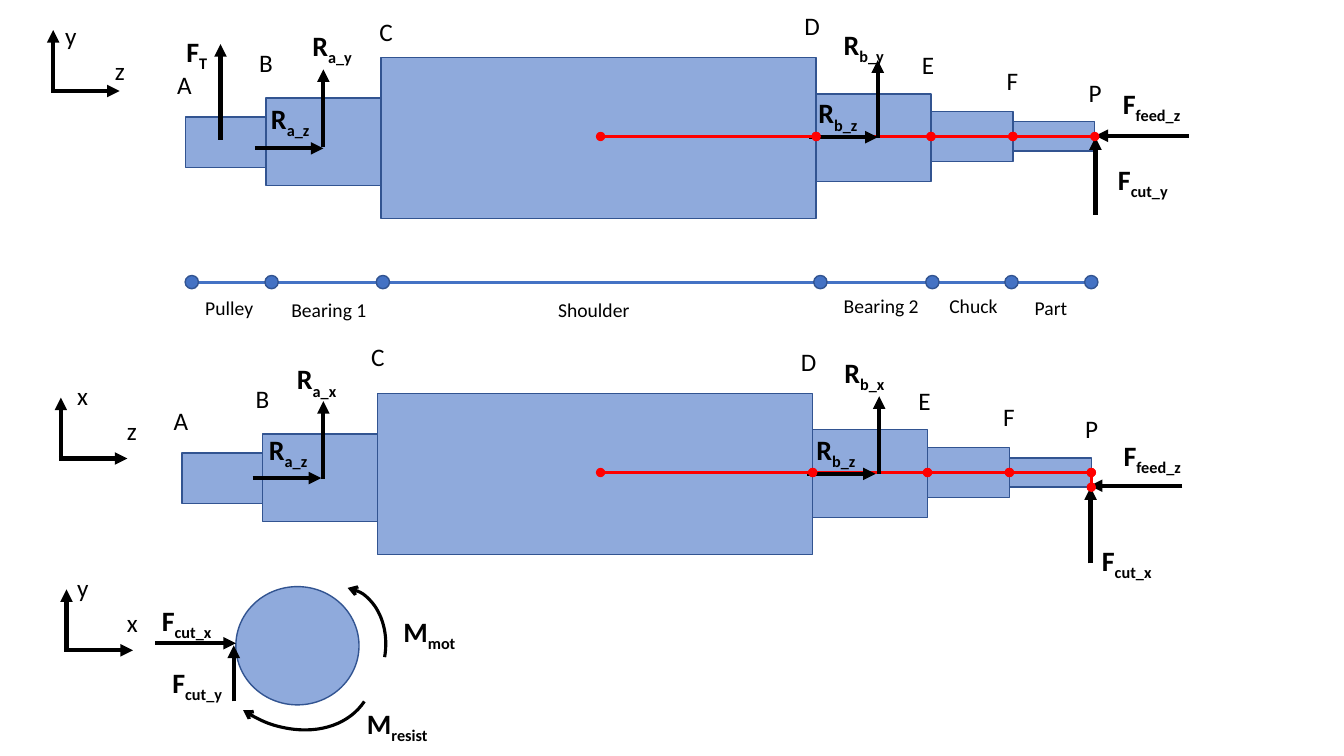
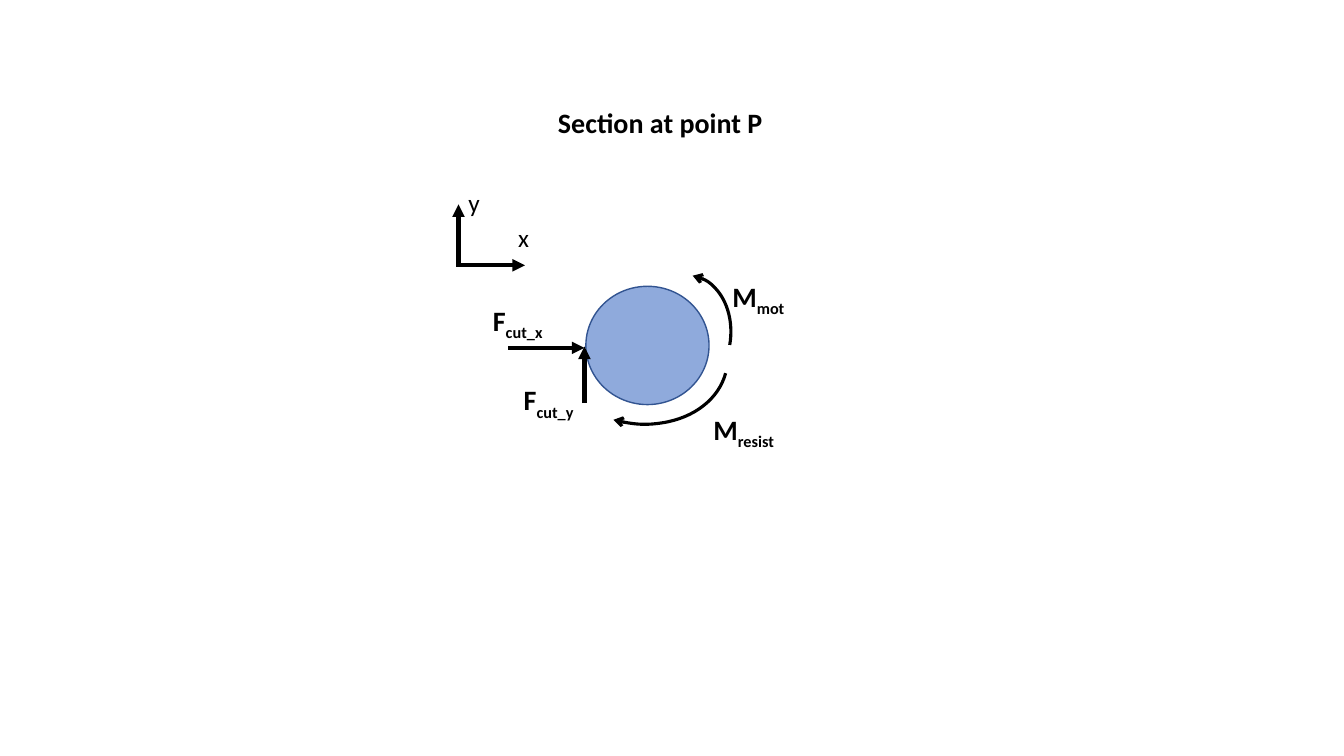
from itertools import accumulate, pairwise
from lxml.etree import SubElement
from pptx import Presentation
from pptx.dml.color import RGBColor
from pptx.enum.shapes import MSO_CONNECTOR as LINE, MSO_SHAPE as SHAPE
from pptx.enum.text import MSO_AUTO_SIZE as FIT
from pptx.oxml.ns import qn
from pptx.util import Pt

BLACK, RED, BLUE, STEEL, EDGE = "000000", "FF0000", "4472C4", "8FAADC", "325491"
FONT = "Calibri"

# Shaft steps from pulley to part: width, top, height
SHAFT_LEFT = 132.5
STEPS = [(57.5, 83.5, 36), (82, 70, 62.5), (311, 41, 115),
         (82, 67, 62.5), (58.5, 79.5, 36), (58.5, 87, 21)]
POINTS = {"A": (119.5, 46), "B": (178, 30), "C": (264, 8), "D": (567.5, 3.5),
          "E": (651.5, 31.5), "F": (712, 43), "P": (770.5, 52)}
LOAD_START, LOAD_Y = 429, 97.5

# Forces: symbol, subscript, arrow start, arrow run (x, y), label corner
VIEW_Y = {
    "shift": (0, 0), "points": POINTS,
    "axes": ((38, 65), (39.5, 11), "y", "z"),
    "forces": [
        ("F", "T", (157.5, 100), (0, -68.5), (126, 21)),
        ("R", "a_y", (231, 105), (0, -55.5), (216, 16.5)),
        ("R", "a_z", (182, 106), (49, 0), (186.5, 69)),
        ("R", "b_y", (627, 98.5), (0, -55.5), (595.5, 16)),
        ("R", "b_z", (578, 98), (49, 0), (577.5, 65)),
        ("F", "feed_z", (849, 97), (-66.5, 0), (795, 58.5)),
        ("F", "cut_y", (782.5, 153.5), (0, -55.5), (791.5, 112.5)),
    ],
}
VIEW_X = {
    "shift": (-2.5, 240), "points": POINTS | {"C": (260.5, 0.5)},
    "axes": ((43.5, 327.5), (48, 268), "x", "z"),
    "forces": [
        ("R", "a_x", (231, 342), (0, -55.5), (205, 255)),
        ("R", "a_z", (180.5, 341.5), (49, 0), (185, 305.5)),
        ("R", "b_x", (628, 338.5), (0, -55.5), (596, 250.5)),
        ("R", "b_z", (576.5, 338.5), (49, 0), (576, 305.5)),
        ("F", "feed_z", (844.5, 347), (-66, 0), (795.5, 309.5)),
        ("F", "cut_x", (779, 402.5), (0, -54.5), (780, 384.5)),
    ],
}
CUT_OFFSET = 10.5

# Sections: disc corner, moment arcs (corner, turn), moment labels, forces
SHAFT_END = {
    "disc": (168.5, 419), "axes": ((47.5, 464.5), (48, 405.5), "y", "x"),
    "resist": ((150, 394.5), 123.7), "mot": ((196.5, 429), 279.8),
    "moments": [("mot", (281, 435.5)), ("resist", (255, 501))],
    "forces": [
        ("F", "cut_x", (111, 459.5), (57.5, 0), (108.5, 427.5)),
        ("F", "cut_y", (167, 501), (0, -40), (116, 471.5)),
    ],
}
SECTION_P = {
    "disc": (418.5, 204.5), "axes": ((327.5, 189.5), (327.5, 130), "y", "x"),
    "resist": ((399, 180), 105.3), "mot": ((443, 206), 279.8),
    "moments": [("mot", (516, 196)), ("resist", (502.5, 291))],
    "forces": [
        ("F", "cut_x", (363, 248.5), (54.5, 0), (345, 213)),
        ("F", "cut_y", (417.5, 288), (0, -40.5), (367, 270)),
    ],
}

# Scale under the shaft: dot centres, then name, left, top, width
SCALE_Y, DOT = 201.5, 9.5
DOTS = [137, 194, 273.5, 586, 666, 722.5, 779.5]
PARTS = [("Pulley", 139.5, 208, 53.5), ("Bearing 1", 201, 209, 74),
         ("Shoulder", 391.5, 209.5, 74), ("Bearing 2", 595.5, 206.5, 74),
         ("Chuck", 671, 206.5, 50), ("Part", 732, 207.5, 50)]


def rgb(color):
    """Turn a hex string into a colour."""
    return RGBColor.from_string(color)


def pen(line, color, width, head=None, tail=None):
    """Set the colour, width and ends of a line."""
    line.color.rgb = rgb(color)
    line.width = Pt(width)
    ln = line._get_or_add_ln()
    for tag, end in (("a:headEnd", head), ("a:tailEnd", tail)):
        if end:
            SubElement(ln, qn(tag)).set("type", end)


def shape(s, kind, x, y, w, h, fill=STEEL):
    """Add an outlined shape; no fill when fill is None."""
    sp = s.shapes.add_shape(kind, Pt(x), Pt(y), Pt(w), Pt(h))
    sp.shadow.inherit = False
    if fill:
        sp.fill.solid()
        sp.fill.fore_color.rgb = rgb(fill)
        pen(sp.line, EDGE, 1)
    else:
        sp.fill.background()
    return sp


def line(s, start, end, color=BLACK, width=3, head=None, tail="triangle"):
    """Add a straight line, by default a black arrow."""
    c = s.shapes.add_connector(LINE.STRAIGHT, *(Pt(v) for v in (*start, *end)))
    pen(c.line, color, width, head, tail)
    SubElement(c._element.spPr, qn("a:effectLst"))


def text(s, words, x, y, w, h, size, bold=False, sub="", wrap=True):
    """Add a one-line text box with an optional subscript."""
    tf = s.shapes.add_textbox(Pt(x), Pt(y), Pt(w), Pt(h)).text_frame
    tf.word_wrap = wrap
    tf.auto_size = FIT.SHAPE_TO_FIT_TEXT
    p = tf.paragraphs[0]
    p.font.name, p.font.size, p.font.bold = FONT, Pt(size), bold
    p.font.color.rgb = rgb(BLACK)
    p.add_run().text = words
    if sub:
        r = p.add_run()
        r.text = sub
        r._r.get_or_add_rPr().set("baseline", "-25000")


def letter(s, words, x, y):
    """Name a point or an axis."""
    text(s, words, x, y, 25, 29, 18, wrap=False)


def symbol(s, words, sub, x, y):
    """Name a force or a moment."""
    text(s, words, x, y, 75, 31.5, 20, bold=True, sub=sub)


def axes(s, corner, label, up, right):
    """Draw a pair of axes with their names."""
    x, y = corner
    line(s, (x, y), (x, y - 43.5))
    line(s, (x - 1.5, y), (x + 47.5, y))
    letter(s, up, *label)
    letter(s, right, label[0] + 35.5, label[1] + 25)


def forces(s, rows):
    """Draw force arrows with their symbols."""
    for words, sub, (x, y), (run_x, run_y), label in rows:
        line(s, (x, y), (x + run_x, y + run_y))
        symbol(s, words, sub, *label)


def load(s, start, end):
    """Draw one red segment of the load path."""
    line(s, start, end, RED, 2.25, "oval", "oval")


def shaft(s, view):
    """Draw the stepped shaft with points, forces and load path."""
    dx, dy = view["shift"]
    edges = list(accumulate((w for w, _, _ in STEPS), initial=SHAFT_LEFT + dx))
    for x, (w, top, h) in zip(edges, STEPS):
        shape(s, SHAPE.RECTANGLE, x, top + dy, w, h)
    for name, (x, y) in view["points"].items():
        letter(s, name, x + dx, y + dy)
    axes(s, *view["axes"])
    stops = [(x, LOAD_Y + dy) for x in (LOAD_START, *edges[3:])]
    to_d, bearing, *others = pairwise(stops)
    load(s, *bearing)
    forces(s, view["forces"])
    for segment in (to_d, *others):
        load(s, *segment)
    return stops[-1]


def moment_arc(s, corner, turn, w, h, flip=False):
    """Draw a quarter arc with an open arrowhead."""
    sp = shape(s, SHAPE.ARC, *corner, w, h, fill=None)
    pen(sp.line, BLACK, 2.25, tail="arrow")
    sp.rotation = turn
    if flip:
        sp._element.spPr.xfrm.set("flipV", "1")


def section(s, view):
    """Draw a round section with its forces and moments."""
    shape(s, SHAPE.OVAL, *view["disc"], 88, 84.5)
    axes(s, *view["axes"])
    moment_arc(s, *view["resist"], 106.5, 137)
    moment_arc(s, *view["mot"], 88.5, 69, flip=True)
    for sub, label in view["moments"]:
        symbol(s, "M", sub, *label)
    forces(s, view["forces"])


def scale(s):
    """Draw the line that names the parts of the shaft."""
    line(s, (134, SCALE_Y), (783.5, SCALE_Y), BLUE, 2.25, tail=None)
    for x in DOTS:
        shape(s, SHAPE.OVAL, x - DOT / 2, SCALE_Y - DOT / 2, DOT, DOT, BLUE)
    for name, x, y, w in PARTS:
        text(s, name, x, y, w, 24.5, 14)


prs = Presentation()
prs.slide_width, prs.slide_height = Pt(960), Pt(540)
loads, point_p = (prs.slides.add_slide(prs.slide_layouts[6]) for _ in range(2))

shaft(loads, VIEW_Y)
scale(loads)
x, y = shaft(loads, VIEW_X)
load(loads, (x, y + CUT_OFFSET), (x, y))
section(loads, SHAFT_END)

section(point_p, SECTION_P)
text(point_p, "Section at point P", 391.5, 72, 191.5, 31.5, 20, bold=True)

prs.save("out.pptx")
